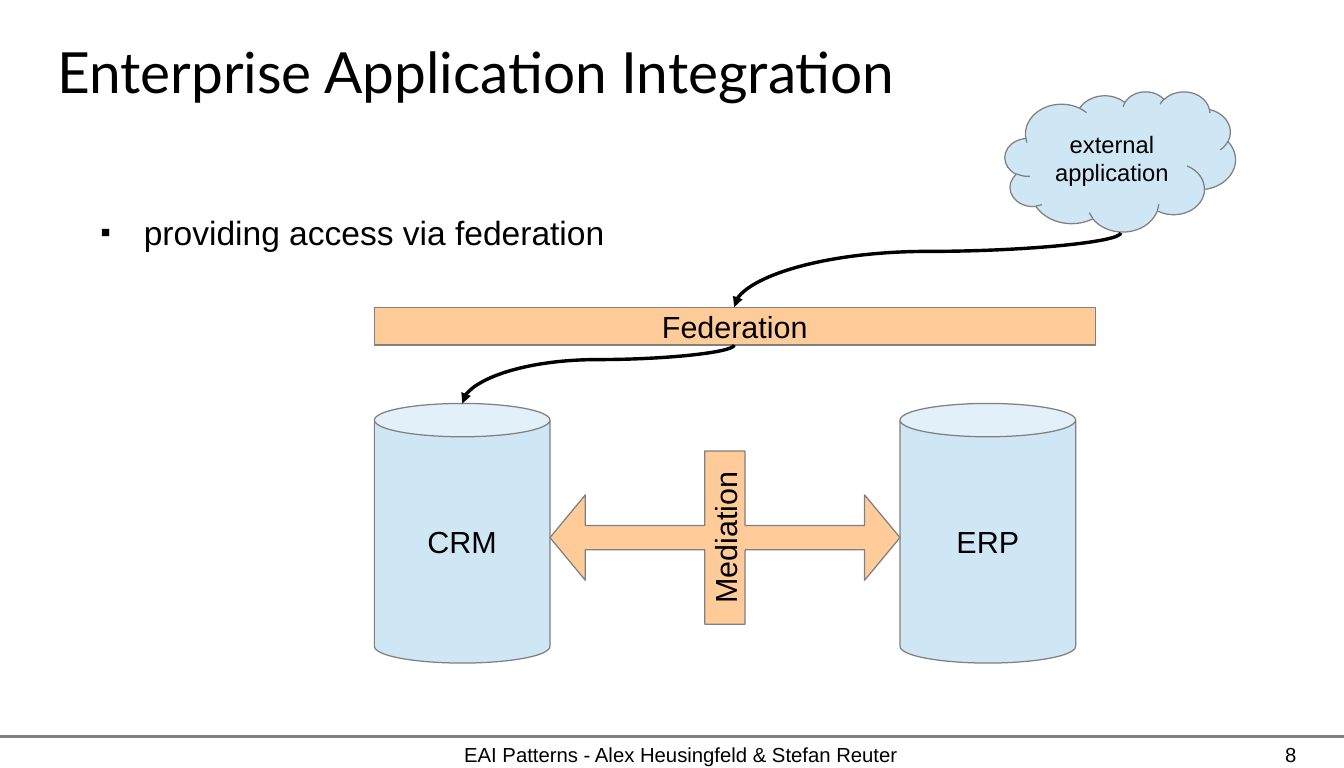
from dataclasses import dataclass

from lxml.etree import SubElement
from pptx import Presentation
from pptx.dml.color import RGBColor
from pptx.enum.shapes import MSO_CONNECTOR, MSO_SHAPE
from pptx.enum.text import MSO_ANCHOR, PP_ALIGN
from pptx.oxml.ns import qn
from pptx.util import Inches, Pt


@dataclass(frozen=True)
class Theme:
    black: RGBColor = RGBColor(0x00, 0x00, 0x00)
    outline: RGBColor = RGBColor(0x80, 0x80, 0x80)
    blue: RGBColor = RGBColor(0xCF, 0xE7, 0xF5)
    orange: RGBColor = RGBColor(0xFF, 0xCC, 0x99)
    title_font: str = "Lato"
    body_font: str = "Arial"
    title_size: float = 33.5
    bullet_size: float = 19.8
    label_size: float = 18
    cloud_size: float = 14
    footer_size: float = 12


theme = Theme()
presentation = Presentation()
presentation.slide_width = Inches(11.02)
presentation.slide_height = Inches(6.3)
slide = presentation.slides.add_slide(presentation.slide_layouts[6])
shapes = slide.shapes


def write_text(shape, text, size, alignment, anchor, font=theme.body_font):
    frame = shape.text_frame
    frame.text = text
    frame.vertical_anchor = anchor
    for paragraph in frame.paragraphs:
        paragraph.alignment = alignment
        paragraph.font.name = font
        paragraph.font.size = Pt(size)
        paragraph.font.color.rgb = theme.black


def style_block(shape, fill, text, size=theme.label_size):
    """Give a diagram shape its fill, hairline outline and centred label."""
    shape.shadow.inherit = False
    shape.fill.solid()
    shape.fill.fore_color.rgb = fill
    shape.line.color.rgb = theme.outline
    shape.line.width = Pt(0)
    shape.text_frame.word_wrap = False
    write_text(shape, text, size, PP_ALIGN.CENTER, MSO_ANCHOR.MIDDLE)


# Footer rule
footer_rule = shapes.add_connector(
    MSO_CONNECTOR.STRAIGHT, 0, Inches(6.04), Inches(11.02), Inches(6.04))
footer_rule.line.color.rgb = theme.outline
footer_rule.line.width = Pt(0)
SubElement(footer_rule._element.spPr, qn("a:effectLst"))

# Title, bullet and footer texts
text_boxes = {}
for name, text, left, top, width, height, size, alignment, anchor, font in (
    ("title", "Enterprise Application Integration", 0.47, 0.12, 10.08, 0.93,
     theme.title_size, PP_ALIGN.LEFT, MSO_ANCHOR.MIDDLE, theme.title_font),
    ("bullet", "providing access via federation", 0.71, 1.74, 9.54, 3.65,
     theme.bullet_size, PP_ALIGN.LEFT, MSO_ANCHOR.TOP, theme.body_font),
    ("footer", "EAI Patterns - Alex Heusingfeld & Stefan Reuter", 2.2, 6.09, 6.77, 0.23,
     theme.footer_size, PP_ALIGN.CENTER, MSO_ANCHOR.TOP, theme.body_font),
    ("page number", "8", 9.21, 6.09, 1.42, 0.23,
     theme.footer_size, PP_ALIGN.RIGHT, MSO_ANCHOR.TOP, theme.body_font),
):
    box = shapes.add_textbox(Inches(left), Inches(top), Inches(width), Inches(height))
    frame = box.text_frame
    frame.word_wrap = True
    frame.margin_left = frame.margin_right = frame.margin_top = frame.margin_bottom = 0
    write_text(box, text, size, alignment, anchor, font)
    text_boxes[name] = box

bullet = text_boxes["bullet"].text_frame.paragraphs[0]
bullet.space_after = Pt(10.8)
properties = bullet._p.get_or_add_pPr()
properties.set("marL", str(Inches(0.47)))
properties.set("indent", str(Inches(-0.35)))
bullet_color = SubElement(properties, qn("a:buClr"))
SubElement(bullet_color, qn("a:srgbClr"), val=str(theme.black))
SubElement(properties, qn("a:buSzPct"), val="45000")
SubElement(properties, qn("a:buFont"), typeface=theme.body_font)
SubElement(properties, qn("a:buChar"), char="■")

# The two systems
for label, left in (("CRM", 3.07), ("ERP", 7.38)):
    system = shapes.add_shape(
        MSO_SHAPE.CAN, Inches(left), Inches(3.31), Inches(1.44), Inches(2.13))
    system.adjustments[0] = 0.19
    style_block(system, theme.blue, label)

# Mediation: a double arrow crossed by an upright bar, mirrored about its centre
center_x, center_y = 5.945, 4.41
upper_right = [(0.165, -0.71), (0.165, -0.1), (1.145, -0.1), (1.145, -0.35)]
right_half = upper_right + [(1.435, 0)] + [(x, -y) for x, y in reversed(upper_right)]
outline = right_half + [(-x, -y) for x, y in right_half]
points = [(Inches(center_x + x), Inches(center_y + y)) for x, y in outline]
builder = shapes.build_freeform(*points[0])
builder.add_line_segments(points[1:], close=True)
mediation = builder.convert_to_shape()
style_block(mediation, theme.orange, "Mediation")
mediation.text_frame._txBody.bodyPr.set("vert", "vert270")

federation = shapes.add_shape(
    MSO_SHAPE.RECTANGLE, Inches(3.07), Inches(2.52), Inches(5.91), Inches(0.31))
style_block(federation, theme.orange, "Federation")

cloud = shapes.add_shape(
    MSO_SHAPE.CLOUD, Inches(8.24), Inches(0.75), Inches(1.89), Inches(1.15))
style_block(cloud, theme.blue, "external\napplication", theme.cloud_size)

# Access arrows: curves turned a quarter so that they leave and arrive vertically
for start_x, start_y, end_x, end_y in ((9.19, 1.91, 6.02, 2.52), (6.02, 2.83, 3.79, 3.31)):
    middle_x, middle_y = (start_x + end_x) / 2, (start_y + end_y) / 2
    half_drop, half_span = (end_y - start_y) / 2, (start_x - end_x) / 2
    arrow = shapes.add_connector(
        MSO_CONNECTOR.CURVE,
        Inches(middle_x - half_drop), Inches(middle_y - half_span),
        Inches(middle_x + half_drop), Inches(middle_y + half_span))
    arrow.line.color.rgb = theme.black
    arrow.line.width = Pt(0)
    arrow_properties = arrow._element.spPr
    arrow_properties.find(qn("a:xfrm")).set("rot", "5400000")
    geometry = arrow_properties.find(qn("a:prstGeom"))
    adjustments = geometry.find(qn("a:avLst"))
    SubElement(adjustments, qn("a:gd"), name="adj1", fmla="val 25000")
    SubElement(arrow_properties.find(qn("a:ln")), qn("a:tailEnd"), type="triangle")
    SubElement(arrow_properties, qn("a:effectLst"))

presentation.save("out.pptx")
